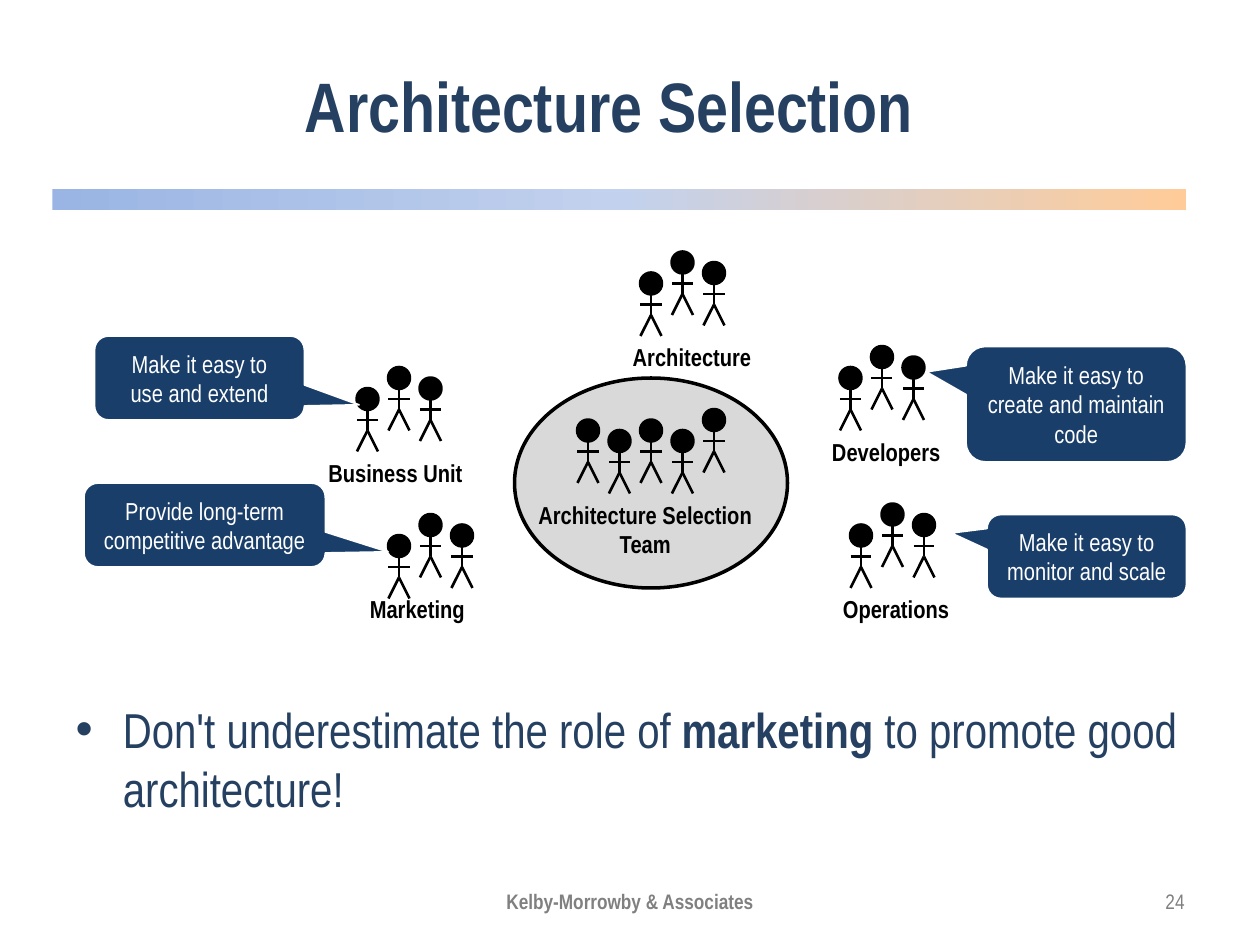
from copy import deepcopy

from lxml import etree
from pptx import Presentation
from pptx.dml.color import RGBColor
from pptx.enum.shapes import MSO_CONNECTOR, MSO_SHAPE
from pptx.enum.text import MSO_ANCHOR, MSO_AUTO_SIZE, PP_ALIGN
from pptx.oxml.ns import qn
from pptx.util import Pt

LEFT, CENTER, RIGHT = PP_ALIGN.LEFT, PP_ALIGN.CENTER, PP_ALIGN.RIGHT
MIDDLE, TOP = MSO_ANCHOR.MIDDLE, MSO_ANCHOR.TOP
NO_FIT, GROW = MSO_AUTO_SIZE.NONE, MSO_AUTO_SIZE.SHAPE_TO_FIT_TEXT
STRAIGHT = MSO_CONNECTOR.STRAIGHT
RECTANGLE, OVAL = MSO_SHAPE.RECTANGLE, MSO_SHAPE.OVAL
CALLOUT = MSO_SHAPE.ROUNDED_RECTANGULAR_CALLOUT

COLORS = {
    "heading": "254061",
    "callout": "1A3E6A",
    "team": "D9D9D9",
    "ink": "000000",
    "paper": "FFFFFF",
    "footer": "808080",
    "bar_start": "9AB5E4",
    "bar_middle": "C2D1ED",
    "bar_end": "FFCC99",
}
FONT = "Arial Narrow"
HEAD = 12
HALF = HEAD / 2
STEP = 18
LIMBS = [
    ((HALF, 12), (HALF, 24)),
    ((0, 18), (HEAD, 18)),
    ((HALF, 24), (0, 36)),
    ((HALF, 24), (HEAD, 36)),
]
TRIO = [12, 0, 6]
TEAM = [6, 12, 6, 12, 0]
POINT_LEFT = (-0.68, -0.28)
POINT_RIGHT = (0.76, 0.32)

CROWDS = [
    ("Business Unit", (204, 210), (180, 258, 92)),
    ("Marketing", (222, 294), (204, 336, 69)),
    ("Architecture", (366, 144), (354, 192, 83)),
    ("Developers", (480, 198), (468, 246, 77)),
    ("Operations", (486, 288), (474, 336, 76)),
]
CALLOUTS = [
    ("Make it easy to\ncreate and maintain code", (552, 198, 126, 66), POINT_LEFT),
    ("Make it easy to\nmonitor and scale", (564, 294, 114, 48), POINT_LEFT),
    ("Make it easy to\nuse and extend", (54, 192, 120, 48), POINT_RIGHT),
    ("Provide long-term competitive advantage", (48, 276, 138, 48), POINT_RIGHT),
]


def color(name):
    return RGBColor.from_string(COLORS[name])


class SlideBuilder:
    def __init__(self, deck):
        self.page = deck.slides.add_slide(deck.slide_layouts[1])

    def place(self, shape, area):
        shape.left, shape.top, shape.width, shape.height = map(Pt, area)

    def fill_text(self, shape, text, size, ink, bold=False, align=CENTER, anchor=MIDDLE):
        frame = shape.text_frame
        frame.text = text
        frame.word_wrap = True
        frame.auto_size = NO_FIT
        frame.vertical_anchor = anchor
        for para in frame.paragraphs:
            para.alignment = align
            for span in para.runs:
                self.style(span, size, ink, bold)

    def style(self, span, size, ink, bold):
        span.font.name = FONT
        span.font.size = Pt(size)
        span.font.bold = bold
        span.font.color.rgb = color(ink)

    def title(self, text, area):
        title = self.page.shapes.title
        self.place(title, area)
        self.fill_text(title, text, 40, "heading", bold=True)

    def bullet(self, pieces, area):
        body = self.page.placeholders[1]
        self.place(body, area)
        self.fill_text(body, "", 28, "heading", align=LEFT, anchor=TOP)
        for text, bold in pieces:
            span = body.text_frame.paragraphs[0].add_run()
            span.text = text
            self.style(span, 28, "heading", bold)

    def shape(self, kind, area, fill, line, weight, parent=None):
        shape = (parent or self.page).shapes.add_shape(kind, *map(Pt, area))
        shape.shadow.inherit = False
        shape.fill.solid()
        shape.fill.fore_color.rgb = color(fill)
        shape.line.color.rgb = color(line)
        shape.line.width = Pt(weight)
        return shape

    def gradient_bar(self, area, names):
        bar = self.page.shapes.add_shape(RECTANGLE, *map(Pt, area))
        bar.shadow.inherit = False
        bar.line.fill.background()
        bar.fill.gradient()
        bar.fill.gradient_angle = 0
        stop_list = next(bar._element.iter(qn("a:gsLst")))
        stop_list.insert(1, deepcopy(stop_list[0]))
        for index, (stop, name) in enumerate(zip(bar.fill.gradient_stops, names)):
            stop.position = index / (len(names) - 1)
            stop.color.rgb = color(name)

    def person(self, group, left, top):
        self.shape(OVAL, (left, top, HEAD, HEAD), "ink", "ink", 2, group)
        for (x1, y1), (x2, y2) in LIMBS:
            limb = group.shapes.add_connector(
                STRAIGHT, Pt(left + x1), Pt(top + y1), Pt(left + x2), Pt(top + y2))
            limb.line.color.rgb = color("ink")
            limb.line.width = Pt(1.5)
            etree.SubElement(limb._element.spPr, qn("a:effectLst"))

    def crowd(self, left, top, drops):
        group = self.page.shapes.add_group_shape()
        for index, drop in enumerate(drops):
            self.person(group, left + index * STEP, top + drop)

    def text(self, text, area, size, ink, bold, align=CENTER):
        box = self.page.shapes.add_textbox(*map(Pt, area))
        self.fill_text(box, text, size, ink, bold, align)
        return box

    def label(self, text, area):
        frame = self.text(text, area, 14, "ink", True).text_frame
        frame.vertical_anchor = TOP
        frame.word_wrap = False
        frame.auto_size = GROW

    def callout(self, text, area, pointer):
        box = self.shape(CALLOUT, area, "callout", "paper", 1)
        box.adjustments[0], box.adjustments[1] = pointer
        self.fill_text(box, text, 14, "paper")


def main():
    deck = Presentation()
    deck.slide_width, deck.slide_height = Pt(720), Pt(540)
    slide = SlideBuilder(deck)
    slide.gradient_bar((30, 108, 648, 12), ["bar_start", "bar_middle", "bar_end"])
    slide.title("Architecture Selection", (24, 24, 648, 72))
    slide.bullet([
        ("Don't underestimate the role of ", False),
        ("marketing", True),
        (" to promote good architecture!", False),
    ], (36, 396, 648, 86.4))

    slide.shape(OVAL, (294, 216, 156, 120), "team", "ink", 2)
    slide.crowd(330, 234, TEAM)
    slide.label("Architecture Selection\nTeam", (300, 282, 137.5, 41))
    for name, (left, top), (label_left, label_top, width) in CROWDS:
        slide.crowd(left, top, TRIO)
        slide.label(name, (label_left, label_top, width, 24.5))
    for text, area, pointer in CALLOUTS:
        slide.callout(text, area, pointer)

    slide.text("Kelby-Morrowby & Associates", (246, 500.4, 228, 28.8), 12, "footer", True)
    slide.text("24", (516, 500.4, 168, 28.8), 12, "footer", False, RIGHT)
    deck.save("out.pptx")


if __name__ == "__main__":
    main()
